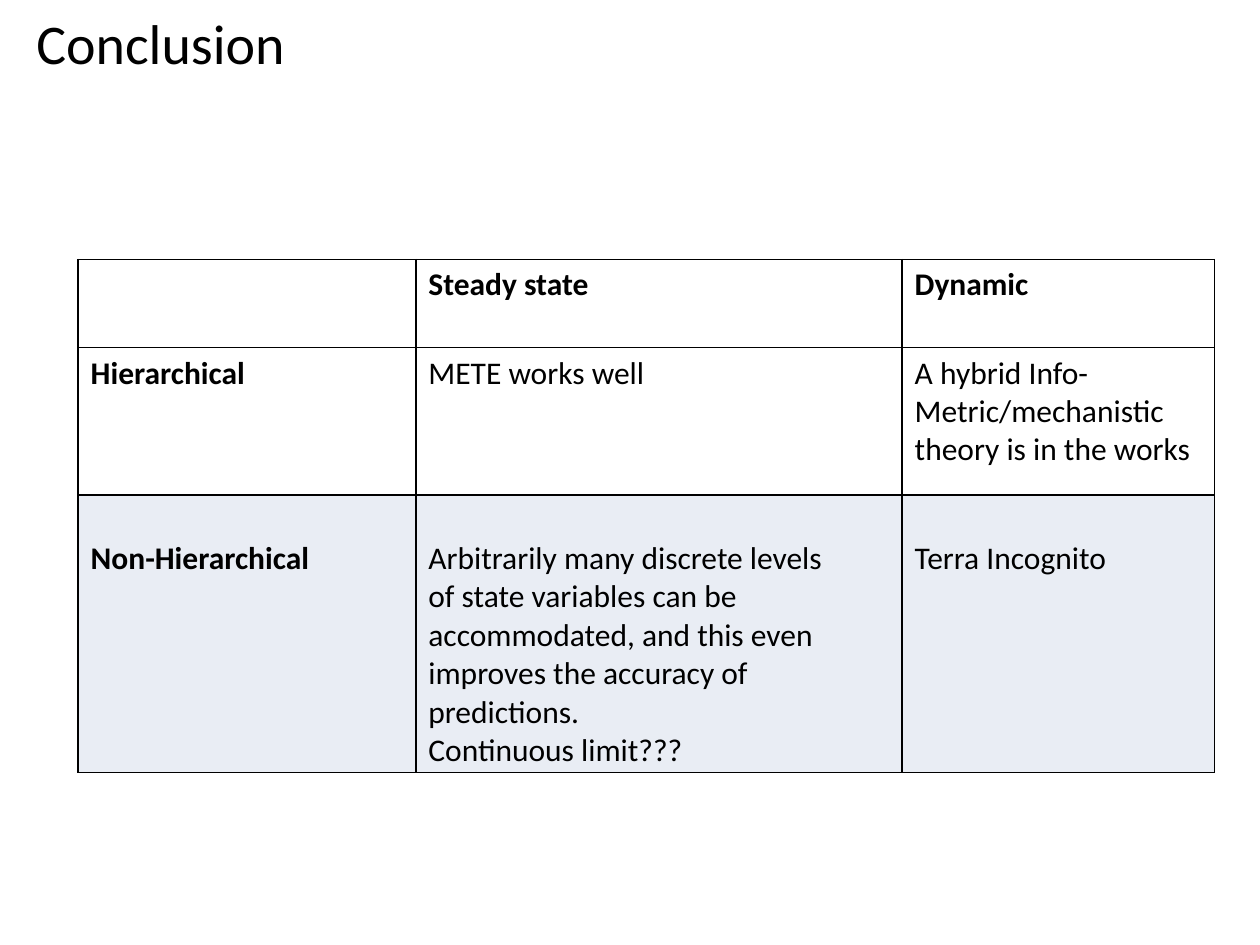
"""Build the conclusion slide with its two-by-two comparison table."""
import pptx
import pptx.dml.color
import pptx.oxml
import pptx.oxml.ns
import pptx.util

Inches = pptx.util.Inches


def color(value):
    """Turn a hex string into a colour."""
    return pptx.dml.color.RGBColor.from_string(value)


class SlideBuilder:
    """Hold the style and the slide being built."""

    font = "Calibri"
    ink = "000000"
    body_size = 18
    border_width = 1

    def __init__(self, slide):
        """Keep the slide that receives the elements."""
        self.slide = slide

    def add_runs(self, paragraph, text, size, bold=False):
        """Add one run, or several parted by line breaks."""
        for index, line in enumerate(text.split("\n")):
            if index:
                paragraph.add_line_break()
            run = paragraph.add_run()
            run.text = line
            run.font.name = self.font
            run.font.size = pptx.util.Pt(size)
            run.font.bold = bold
            run.font.color.rgb = color(self.ink)

    def text(self, text, left, top, width, height, size):
        """Add a wrapping text box."""
        shape = self.slide.shapes.add_textbox(
            Inches(left), Inches(top), Inches(width), Inches(height))
        shape.text_frame.word_wrap = True
        self.add_runs(shape.text_frame.paragraphs[0], text, size)

    def border(self, cell):
        """Draw a thin line on all four sides of a cell."""
        properties = cell._tc.get_or_add_tcPr()
        width = pptx.util.Pt(self.border_width)
        for index, side in enumerate(("lnL", "lnR", "lnT", "lnB")):
            properties.insert(index, pptx.oxml.parse_xml(
                f'<a:{side} {pptx.oxml.ns.nsdecls("a")} w="{width}"><a:solidFill>'
                f'<a:srgbClr val="{self.ink}"/></a:solidFill></a:{side}>'))

    def cell(self, cell, paragraphs, bold, fill, top_margin):
        """Fill, border and letter one table cell."""
        if fill:
            cell.fill.solid()
            cell.fill.fore_color.rgb = color(fill)
        else:
            cell.fill.background()
        self.border(cell)
        cell.margin_top = Inches(top_margin)
        for index, text in enumerate(paragraphs):
            frame = cell.text_frame
            paragraph = frame.add_paragraph() if index else frame.paragraphs[0]
            self.add_runs(paragraph, text, self.body_size, bold)

    def table(self, rows, left, top, widths, heights, fills, top_margins):
        """Add a table whose first row and first column are bold."""
        shape = self.slide.shapes.add_table(
            len(rows), len(widths), Inches(left), Inches(top),
            Inches(sum(widths)), Inches(sum(heights)))
        table = shape.table
        table.first_row = table.horz_banding = False
        for column, width in zip(table.columns, widths):
            column.width = Inches(width)
        for row_index, row in enumerate(rows):
            table.rows[row_index].height = Inches(heights[row_index])
            for column_index, paragraphs in enumerate(row):
                self.cell(table.cell(row_index, column_index), paragraphs,
                          row_index == 0 or column_index == 0,
                          fills[row_index], top_margins[row_index])


def main():
    """Create the presentation and save it."""
    presentation = pptx.Presentation()
    presentation.slide_width = Inches(10)
    presentation.slide_height = Inches(7.5)
    builder = SlideBuilder(
        presentation.slides.add_slide(presentation.slide_layouts[6]))
    builder.text("Conclusion", 0.19, 0.02, 9.44, 0.64, 32)
    rows = [
        [[], ["Steady state"], ["Dynamic"]],
        [["Hierarchical"], ["METE works well"],
         ["A hybrid Info-Metric/mechanistic theory is in the works"]],
        [["Non-Hierarchical"],
         ["Arbitrarily many discrete levels\nof state variables can be "
          "accommodated, and this even improves the accuracy of predictions.",
          "Continuous limit???"],
         ["Terra Incognito"]],
    ]
    builder.table(rows, 0.62, 2.06, widths=[2.68, 3.86, 2.48],
                  heights=[0.7, 1.17, 2.2], fills=[None, None, "E9EDF4"],
                  top_margins=[0.05, 0.05, 0.35])
    presentation.save("out.pptx")


if __name__ == "__main__":
    main()
